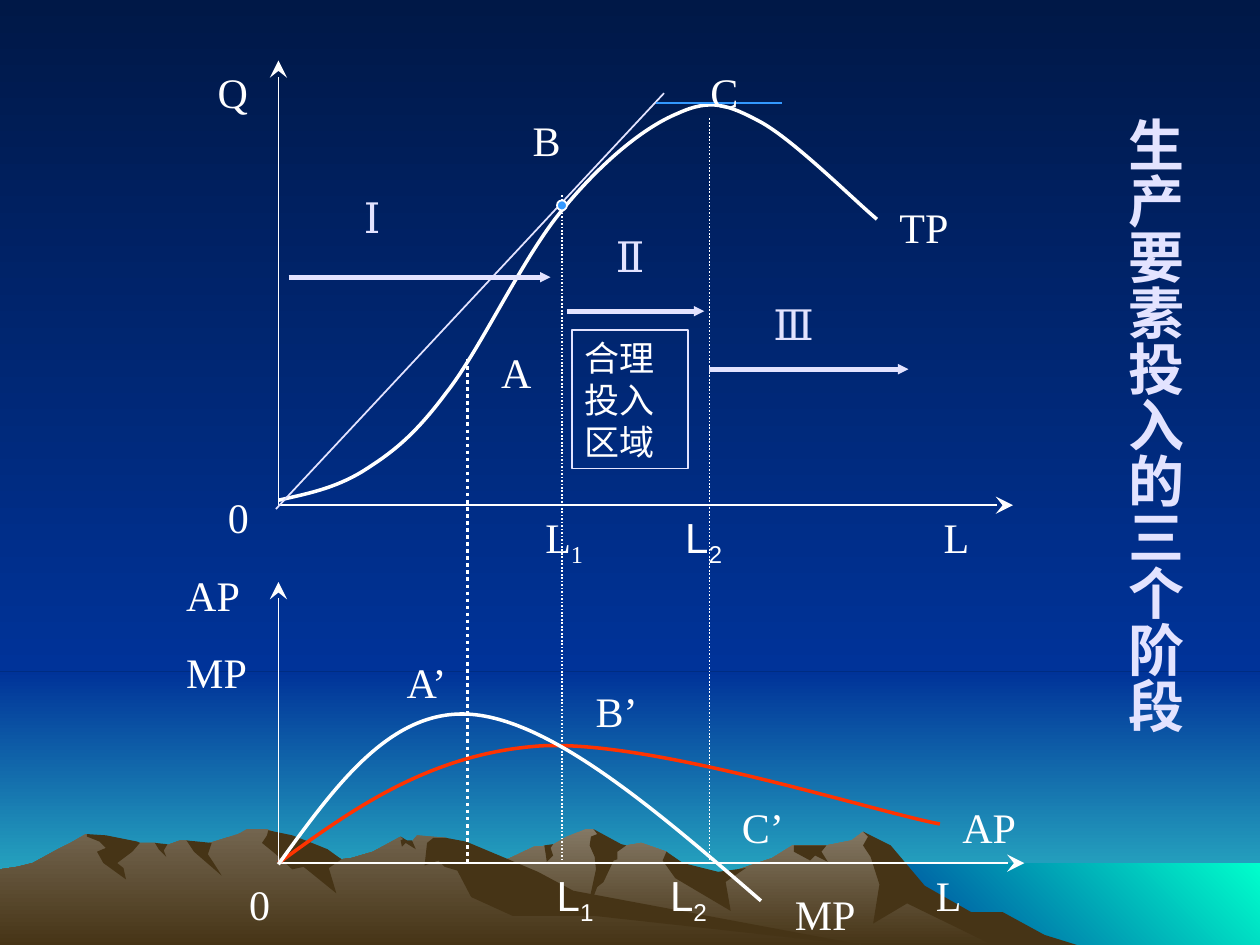
import pptx
import pptx.util
import pptx.dml.color
import pptx.enum.dml
import pptx.enum.shapes
import pptx.enum.text
import pptx.oxml
import pptx.oxml.ns
from dataclasses import dataclass

GRID = 2.54  # centimetres in one grid step; the slide is 10 by 7.5 steps


def span(steps):
    """Turn grid steps into a length."""
    return pptx.util.Cm(steps * GRID)


@dataclass
class Theme:
    white: str = "FFFFFF"
    pale: str = "E3E3FF"
    blue: str = "3399FF"
    red: str = "FF3300"
    earth: str = "463416"
    rock: tuple = ("847864", "463416", 90)
    ridge: tuple = ("73654F", "463416", 90)
    night: tuple = ("001847", "003399", 90)
    dawn: tuple = ("003399", "33CCCC", 90)
    sea: tuple = ("003399", "00FFCC", 315)
    serif: str = "Times New Roman"
    sans: str = "Arial"
    title: int = 32
    label: int = 24
    note: int = 20
    thin: int = 1
    mid: int = 2
    thick: int = 3


class Board:
    """Holds the theme and the current slide."""

    def __init__(self, slide, theme):
        self.slide, self.theme = slide, theme
        self.shapes = slide.shapes

    def rgb(self, code):
        return pptx.dml.color.RGBColor.from_string(code)

    def paint(self, fill, style):
        """Fill with a colour, a (start, end, clockwise angle) blend, or nothing."""
        if style is None:
            fill.background()
        elif isinstance(style, str):
            fill.solid()
            fill.fore_color.rgb = self.rgb(style)
        else:
            fill.gradient()
            fill.gradient_angle = (360 - style[2]) % 360
            for stop, code in zip(fill.gradient_stops, style):
                stop.color.rgb = self.rgb(code)

    def dress(self, shape, fill=None, line=None, width=1):
        shape.shadow.inherit = False
        self.paint(shape.fill, fill)
        self.paint(shape.line.fill, line)
        if line:
            shape.line.width = pptx.util.Pt(width)
        return shape

    def block(self, x, y, w, h, fill=None, line=None, kind="RECTANGLE"):
        kind = getattr(pptx.enum.shapes.MSO_SHAPE, kind)
        shape = self.shapes.add_shape(kind, span(x), span(y), span(w), span(h))
        return self.dress(shape, fill, line)

    def trace(self, points, close):
        points = [(span(x), span(y)) for x, y in points]
        form = self.shapes.build_freeform(*points[0], scale=1.0)
        form.add_line_segments(points[1:], close=close)
        return form.convert_to_shape()

    def land(self, points, fill):
        self.dress(self.trace(points, True), fill)

    def curve(self, points, color):
        """Draw Bezier arcs: a start, then two controls and an end for each arc."""
        shape = self.dress(self.trace(points, False), None, color, self.theme.mid)
        legs = list(shape._element.iter(pptx.oxml.ns.qn("a:lnTo")))
        for first in range(0, len(legs), 3):
            arc = pptx.oxml.parse_xml("<a:cubicBezTo %s/>" % pptx.oxml.ns.nsdecls("a"))
            legs[first].addprevious(arc)
            for leg in legs[first:first + 3]:
                arc.append(leg[0])
                leg.getparent().remove(leg)

    def line(self, start, end, color, width=1, tip=None, dots=False):
        """Draw a line; tip is an (arrow type, size) pair at its end."""
        kind = pptx.enum.shapes.MSO_CONNECTOR.STRAIGHT
        link = self.shapes.add_connector(kind, *map(span, start + end))
        link.line.color.rgb = self.rgb(color)
        link.line.width = pptx.util.Pt(width)
        if dots:
            link.line.dash_style = pptx.enum.dml.MSO_LINE.ROUND_DOT
        names = pptx.oxml.ns.nsdecls("a")
        if tip:
            link.line._get_or_add_ln().append(pptx.oxml.parse_xml(
                '<a:tailEnd %s type="%s" w="%s" len="%s"/>' % (names, tip[0], tip[1], tip[1])))
        link._element.spPr.append(pptx.oxml.parse_xml("<a:effectLst %s/>" % names))

    def style(self, frame, size, color, font, bold=False):
        frame.word_wrap = True
        frame.vertical_anchor = pptx.enum.text.MSO_ANCHOR.TOP
        for para in frame.paragraphs:
            for run in para.runs:
                run.font.size = pptx.util.Pt(size)
                run.font.name = font
                run.font.bold = bold
                run.font.color.rgb = self.rgb(color)

    def label(self, text, x, y, color=None, font=None, sub=None):
        theme = self.theme
        lines = text.count("\n") + 1
        box = self.shapes.add_textbox(span(x), span(y), span(0.9), span(0.5 * lines))
        frame = box.text_frame
        frame.text = text
        for para in frame.paragraphs[1:]:
            para.space_before = pptx.util.Pt(15)
        if sub:
            run = frame.paragraphs[0].add_run()
            run.text = sub
            run._r.get_or_add_rPr().set("baseline", "-25000")
        self.style(frame, theme.label, color or theme.white, font or theme.serif)

    def note(self, text, x, y, w, h):
        frame = self.block(x, y, w, h, line=self.theme.pale).text_frame
        frame.text = text
        frame.paragraphs[0].alignment = pptx.enum.text.PP_ALIGN.LEFT
        self.style(frame, self.theme.note, self.theme.white, self.theme.serif)

    def title(self, text, x, y, w, h):
        shape = self.shapes.title
        shape.left, shape.top, shape.width, shape.height = map(span, (x, y, w, h))
        frame = shape.text_frame
        frame.text = text
        frame.auto_size = pptx.enum.text.MSO_AUTO_SIZE.NONE
        frame.margin_left = frame.margin_right = span(0.05)
        frame.margin_top = frame.margin_bottom = span(0.1)
        frame._txBody.bodyPr.set("vert", "eaVert")
        frame.paragraphs[0].alignment = pptx.enum.text.PP_ALIGN.CENTER
        self.style(frame, self.theme.title, self.theme.pale, self.theme.sans, True)
        self.shapes._spTree.append(shape._element)  # bring in front of the scenery


EAST = [(8.02, 7.4), (7.78, 7.27), (7.64, 7.23), (7.23, 6.98), (7.02, 6.71), (6.85, 6.6),
        (6.76, 6.67), (6.56, 6.71), (6.29, 6.71), (6.13, 6.81), (5.66, 6.97), (5.36, 6.9),
        (5.29, 6.76), (5.09, 6.69), (4.86, 6.73), (4.71, 6.58), (4.65, 6.58), (4.5, 6.64),
        (4.38, 6.71), (4.24, 6.72), (4.05, 6.81), (3.94, 6.85), (3.55, 6.98), (3.27, 7.09),
        (2.77, 7.39), (2.58, 7.51), (8.21, 7.51)]
WEST = [(6.9, 7.51), (6.67, 7.48), (4.32, 7.12), (3.54, 6.65), (3.31, 6.63), (3.27, 6.68),
        (3.23, 6.68), (3.18, 6.64), (2.96, 6.76), (2.79, 6.81), (2.71, 6.82), (2.6, 6.76),
        (2.36, 6.81), (2.23, 6.63), (2.12, 6.58), (1.96, 6.58), (1.89, 6.62), (1.6, 6.71),
        (1.48, 6.67), (1.43, 6.67), (1.32, 6.71), (1.23, 6.69), (1.11, 6.69), (0.94, 6.71),
        (0.68, 6.62), (0.56, 6.69), (0.46, 6.74), (0.26, 6.85), (0.14, 6.88), (0, 6.9), (0, 7.51)]
EAST_SHADE = [
    [(7.96, 7.24), (7.71, 7.24), (7.34, 7.03), (7.07, 6.71), (6.85, 6.6), (6.89, 6.64),
     (6.85, 6.71), (6.91, 6.8), (6.98, 7.02), (6.93, 7.33), (7.2, 7.17), (7.92, 7.52),
     (8.58, 7.51), (8.29, 7.42)],
    [(4.71, 6.58), (4.74, 6.62), (4.69, 6.64), (4.68, 6.71), (4.72, 6.8), (4.73, 6.9),
     (4.65, 7.27), (4.74, 7.04), (4.79, 7), (4.87, 6.83), (4.9, 6.82), (4.9, 6.76),
     (4.97, 6.71), (4.93, 6.7)],
    [(5.29, 6.76), (5.26, 6.83), (5.36, 6.97), (5.8, 7.23), (5.76, 7), (5.92, 6.89),
     (5.7, 6.92), (5.42, 6.85)],
    [(6.5, 6.71), (6.3, 6.71), (6.3, 6.76), (6.43, 6.83), (6.47, 6.79), (6.57, 6.84),
     (6.52, 6.76), (6.56, 6.71)],
    [(4.33, 6.77), (4.32, 6.71), (4.39, 6.7), (4.37, 6.73), (4.39, 6.79), (4.34, 6.84)]]
WEST_SHADE = [
    [(2.12, 6.63), (2.08, 6.69), (2.19, 6.78), (2.32, 6.9), (2.41, 6.88), (2.67, 7.09),
     (2.61, 6.89), (2.71, 6.82), (2.6, 6.74), (2.45, 6.68), (2.32, 6.63), (2.13, 6.59)],
    [(3.7, 6.68), (3.54, 6.65), (3.44, 6.65), (3.39, 6.69), (3.37, 6.87), (3.48, 6.83),
     (3.53, 6.88), (3.63, 6.91), (3.74, 7.12), (4.07, 7.27), (4.72, 7.27), (6.9, 7.51),
     (4.55, 7.07), (4.27, 6.92), (4.01, 6.81)],
    [(3.18, 6.67), (3.2, 6.66), (3.18, 6.64), (3.23, 6.67), (3.27, 6.67), (3.3, 6.74),
     (3.22, 6.69), (3.19, 6.72)],
    [(1.48, 6.67), (1.68, 6.69), (1.65, 6.78), (1.69, 6.84), (1.76, 6.95), (1.54, 6.76)],
    [(1.33, 6.7), (1.3, 6.75), (1.32, 6.8), (1.26, 6.74), (1.23, 6.69)],
    [(1.09, 6.68), (1.11, 6.69), (1.05, 6.76), (0.93, 6.85), (0.98, 6.89), (1, 6.98),
     (0.82, 6.85), (0.77, 6.76), (0.84, 6.73), (0.79, 6.68), (0.69, 6.64), (0.69, 6.62),
     (0.84, 6.63)]]
TOTAL = [(2.21, 3.97), (2.43, 3.92), (2.65, 3.88), (2.88, 3.74), (3.1, 3.6), (3.28, 3.47),
         (3.54, 3.12), (3.81, 2.78), (4.15, 2.04), (4.46, 1.67), (4.77, 1.29), (5.11, 1.01),
         (5.38, 0.9), (5.64, 0.78), (5.78, 0.83), (6.04, 0.97), (6.31, 1.12), (6.79, 1.6),
         (6.96, 1.74)]
MEAN = [(2.21, 6.85), (2.81, 6.41), (3.42, 5.98), (4.29, 5.92), (5.17, 5.87), (6.93, 6.44),
        (7.46, 6.54)]
EDGE = [(2.21, 6.86), (2.66, 6.24), (3.1, 5.62), (3.74, 5.67), (4.38, 5.72), (5.21, 6.43),
        (6.04, 7.15)]


def scene(board, theme):
    board.paint(board.slide.background.fill, theme.night)
    board.block(0, 5.33, 10, 2.17, theme.dawn)
    board.block(0, 0, 10, 5.33, theme.night)
    board.block(6.83, 6.85, 3.17, 0.67, theme.sea)
    for hill, fill, shades in ((EAST, theme.rock, EAST_SHADE), (WEST, theme.ridge, WEST_SHADE)):
        board.land(hill, fill)
        for shade in shades:
            board.land(shade, theme.earth)


def graph(board, theme):
    left, base, floor = 2.21, 4.01, 6.85
    for foot, top, right in ((base, 0.48, 8.04), (floor, 4.62, 8.13)):
        for end in ((left, top), (right, foot)):
            board.line((left, foot), end, theme.white, tip=("stealth", "lg"))
    board.curve(TOTAL, theme.white)
    for x, top, width in ((5.63, 0.94, theme.thin), (3.71, 2.85, theme.mid), (4.46, 1.55, theme.thin)):
        board.line((x, top), (x, floor), theme.white, width, dots=True)
    board.line((2.19, 4.04), (5.27, 0.74), theme.pale)
    board.block(4.42, 1.59, 0.08, 0.08, theme.blue, theme.white, "OVAL")
    board.curve(MEAN, theme.red)
    board.line((5.21, 0.82), (6.21, 0.82), theme.blue)
    board.curve(EDGE, theme.white)
    for start, end, y in ((2.29, 4.37, 2.2), (4.5, 5.59, 2.47), (5.63, 7.21, 2.93)):
        board.line((start, y), (end, y), theme.pale, theme.thick, ("triangle", "sm"))


def words(board, theme):
    for text, x, y in (("TP", 7.04, 1.55), ("MP", 6.21, 7), ("Q", 1.63, 0.48), ("0", 1.71, 3.85),
                       ("C", 5.54, 0.48), ("B", 4.13, 0.86), ("B’", 4.63, 5.39), ("A", 3.88, 2.7),
                       ("A’", 3.13, 5.16), ("AP\nMP", 1.38, 4.47), ("0", 1.88, 6.92),
                       ("AP", 7.54, 6.31), ("C’", 5.79, 6.31), ("L", 7.39, 4.01), ("L", 7.33, 6.85)):
        board.label(text, x, y)
    for sub, x, y, font in (("1", 4.23, 4.01, theme.serif), ("2", 5.34, 4.01, theme.sans),
                            ("1", 4.32, 6.85, theme.sans), ("2", 5.22, 6.85, theme.sans)):
        board.label("L", x, y, font=font, sub=sub)
    for text, x, y in (("Ⅰ", 2.79, 1.47), ("Ⅱ", 4.79, 1.78), ("Ⅲ", 6.04, 2.32)):
        board.label(text, x, y, theme.pale)
    board.note("合理投入区域", 4.54, 2.62, 0.92, 1.1)
    board.title("生产要素投入的三个阶段", 8.75, 0.83, 0.73, 5.67)


def main():
    deck = pptx.Presentation()
    deck.slide_width, deck.slide_height = span(10), span(7.5)
    theme = Theme()
    board = Board(deck.slides.add_slide(deck.slide_layouts[5]), theme)
    scene(board, theme)
    graph(board, theme)
    words(board, theme)
    deck.save("out.pptx")


if __name__ == "__main__":
    main()
